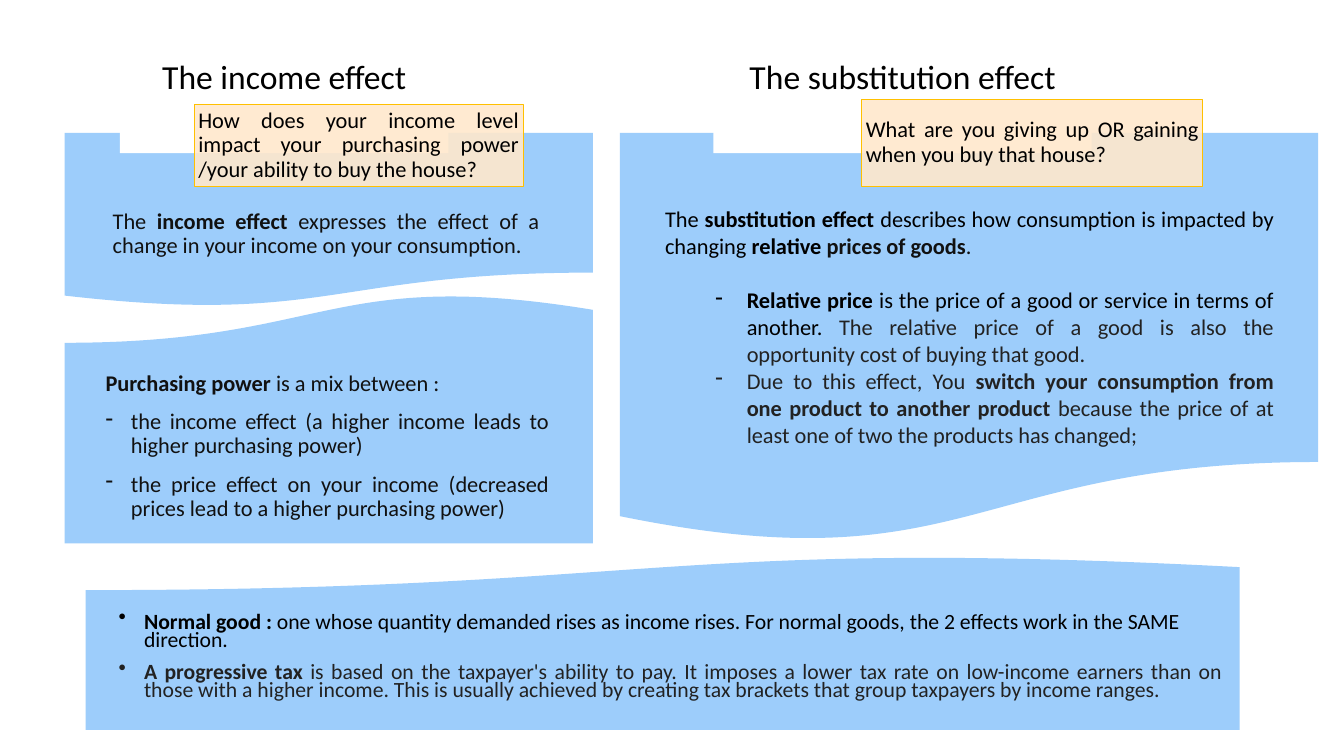
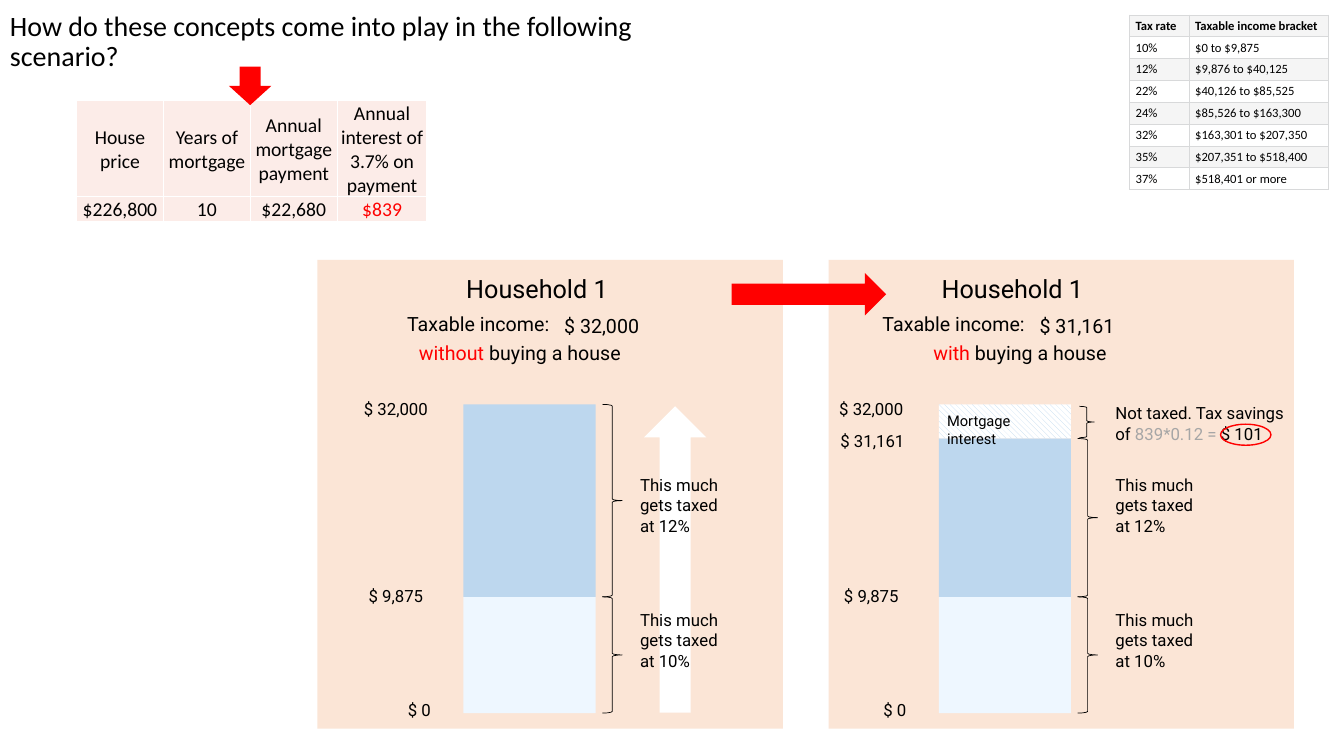
from dataclasses import dataclass
from typing import NamedTuple, Optional, Sequence

from pptx import Presentation
from pptx.dml.color import RGBColor
from pptx.enum.dml import MSO_PATTERN
from pptx.enum.shapes import MSO_SHAPE as Preset
from pptx.enum.text import MSO_ANCHOR as Anchor, PP_ALIGN as Align
from pptx.oxml.ns import qn
from pptx.util import Cm, Pt
from lxml.etree import SubElement


@dataclass(frozen=True)
class Theme:
    body: str = "Calibri"
    chart: str = "Roboto"
    black: str = "000000"
    ink: str = "111111"
    soft_ink: str = "222222"
    muted: str = "A6A6A6"
    white: str = "FFFFFF"
    red: str = "FF0000"
    wave: str = "9DCDFB"
    callout: str = "FFE8CC"
    callout_edge: str = "FFC000"
    panel: str = "FBE5D6"
    low_band: str = "EEF7FF"
    high_band: str = "BDD7EE"
    stripe: str = "F5F5F5"
    grid: str = "D8D9DA"
    mortgage: str = "FCECE8"
    heading_size: float = 24
    question_size: float = 20
    household_size: float = 18
    text_size: float = 16
    goods_size: float = 15.5
    income_size: float = 14
    label_size: float = 12
    note_size: float = 10.5
    bracket_size: float = 9


THEME = Theme()


class Box(NamedTuple):
    """Left, top, width and height in centimetres."""
    left: float
    top: float
    width: float
    height: float

    def lengths(self) -> list[Cm]:
        return [Cm(side) for side in self]


class Insets(NamedTuple):
    left: float = 0.25
    top: float = 0.13
    right: float = 0.25
    bottom: float = 0.13


class Run(NamedTuple):
    text: str
    color: str = THEME.black
    bold: bool = False


@dataclass(frozen=True)
class Para:
    runs: Sequence[Run]
    align: Align = Align.LEFT
    line: float = 1.0
    before: float = 0
    bullet: str = ""
    margin: float = 0
    hang: float = 0


@dataclass(frozen=True)
class Band:
    top: float
    bottom: float
    color: str
    rate: str
    rate_top: float


@dataclass(frozen=True)
class Household:
    panel_left: float
    shift: float
    income: str
    qualifier: str
    qualifier_left: float
    bands: Sequence[Band]


def rgb(color: str) -> RGBColor:
    return RGBColor.from_string(color)


def write(frame, paras: Sequence[Para], size: float, font: str = THEME.body) -> None:
    for index, para in enumerate(paras):
        line = frame.paragraphs[0] if index == 0 else frame.add_paragraph()
        line.alignment, line.line_spacing = para.align, para.line
        line.space_before, line.space_after = Pt(para.before), Pt(0)
        if para.bullet:
            props = line._p.get_or_add_pPr()
            props.set("marL", str(Cm(para.margin)))
            props.set("indent", str(-Cm(para.hang)))
            SubElement(props, qn("a:buChar")).set("char", para.bullet)
        for part in para.runs:
            run = line.add_run()
            run.text = part.text
            run.font.name, run.font.size, run.font.bold = font, Pt(size), part.bold
            run.font.color.rgb = rgb(part.color)


def fit_frame(frame, insets: Insets, anchor: Anchor) -> None:
    frame.word_wrap = True
    frame.vertical_anchor = anchor
    frame.margin_left, frame.margin_top, frame.margin_right, frame.margin_bottom = map(Cm, insets)


def add_text(slide, box: Box, paras: Sequence[Para], size: float,
             font: str = THEME.body, anchor: Anchor = Anchor.TOP) -> None:
    frame = slide.shapes.add_textbox(*box.lengths()).text_frame
    fit_frame(frame, Insets(), anchor)
    write(frame, paras, size, font)


def add_label(slide, box: Box, *runs: Run, size: float = THEME.label_size) -> None:
    add_text(slide, box, [Para(runs)], size, THEME.chart)


def add_figure(slide, preset: Preset, box: Box, fill: Optional[str] = None,
               line: Optional[str] = None, weight: float = 0.5, turn: float = 0):
    figure = slide.shapes.add_shape(preset, *box.lengths())
    figure.shadow.inherit = False
    figure.rotation = turn
    if fill:
        figure.fill.solid()
        figure.fill.fore_color.rgb = rgb(fill)
    else:
        figure.fill.background()
    if line:
        figure.line.color.rgb, figure.line.width = rgb(line), Pt(weight)
    else:
        figure.line.fill.background()
    return figure


def add_brace(slide, box: Box) -> None:
    add_figure(slide, Preset.RIGHT_BRACE, box, line=THEME.black)


def add_heading(slide, box: Box, text: str) -> None:
    frame = add_figure(slide, Preset.RECTANGLE, box, THEME.white).text_frame
    fit_frame(frame, Insets(0.05, 0.05, 0.05, 0.48), Anchor.MIDDLE)
    write(frame, [Para([Run(text)], Align.CENTER, 0.9)], THEME.heading_size)


def add_callout(slide, box: Box, text: str) -> None:
    callout = add_figure(slide, Preset.RECTANGLE, box, THEME.callout, THEME.callout_edge)
    tint = callout._element.spPr.find(qn("a:solidFill"))[0]
    SubElement(tint, qn("a:alpha")).set("val", "90000")
    fit_frame(callout.text_frame, Insets(0.1, 0.03, 0.1, 0.03), Anchor.MIDDLE)
    write(callout.text_frame, [Para([Run(text)], Align.JUSTIFY, 0.9)], THEME.text_size)


def add_grid(slide, left: float, top: float, widths: Sequence[float], heights: Sequence[float]):
    box = Box(left, top, sum(widths), sum(heights))
    table = slide.shapes.add_table(len(heights), len(widths), *box.lengths()).table
    table.first_row = table.horz_banding = False
    for column, width in zip(table.columns, widths):
        column.width = Cm(width)
    for row, height in zip(table.rows, heights):
        row.height = Cm(height)
    return table


def fill_cell(cell, para: Para, size: float, fill: str, edge: str, weight: float,
              insets: Insets, anchor: Anchor) -> None:
    props = cell._tc.get_or_add_tcPr()
    for side in ("lnL", "lnR", "lnT", "lnB"):
        border = SubElement(props, qn(f"a:{side}"))
        border.set("w", str(Pt(weight)))
        SubElement(SubElement(border, qn("a:solidFill")), qn("a:srgbClr")).set("val", edge)
    cell.fill.solid()
    cell.fill.fore_color.rgb = rgb(fill)
    cell.vertical_anchor = anchor
    cell.margin_left, cell.margin_top, cell.margin_right, cell.margin_bottom = map(Cm, insets)
    write(cell.text_frame, [para], size)


def build_effects(slide) -> None:
    for box, turn in ((Box(2.16, 14, 29.08, 4.39), 180), (Box(15.62, 3.35, 17.6, 10.34), 0),
                      (Box(1.63, 3.35, 13.31, 4.39), 0), (Box(1.63, 7.39, 13.31, 6.3), 180)):
        add_figure(slide, Preset.FLOWCHART_DOCUMENT, box, THEME.wave, turn=turn)
    add_heading(slide, Box(17.98, 0.51, 9.53, 3.35), "The substitution effect")
    add_callout(slide, Box(21.72, 2.51, 8.59, 2.18),
                "What are you giving up OR gaining when you buy that house?")
    add_heading(slide, Box(3.02, 0.51, 8.28, 3.35), "The income effect")
    add_callout(slide, Box(4.9, 2.64, 8.28, 2.06), "How does your income level impact your "
                "purchasing power /your ability to buy the house?")

    ink, soft = THEME.ink, THEME.soft_ink
    add_text(slide, Box(2.59, 5.16, 11.25, 2.24), [Para([
        Run("The ", ink), Run("income effect ", ink, True),
        Run("expresses the effect of a change in your income on your consumption.", ink),
    ], Align.JUSTIFY, 0.9)], THEME.text_size)

    dash = dict(align=Align.JUSTIFY, bullet="-", margin=2.06, hang=0.79)
    add_text(slide, Box(16.51, 5.05, 15.85, 6.4), [
        Para([Run("The "), Run("substitution effect ", bold=True),
              Run("describes how consumption is impacted by changing "),
              Run("relative ", bold=True), Run("prices of goods", ink, True), Run(".", ink)],
             Align.JUSTIFY),
        Para([Run("Relative price ", bold=True),
              Run("is the price of a good or service in terms of another. "),
              Run("The relative price of a good is also the opportunity cost of buying "
                  "that good.", soft)], before=19.5, **dash),
        Para([Run("Due to this effect, You ", soft),
              Run("switch your consumption from one product to another product", soft, True),
              Run(" because the price of at least one of two the products has changed;", soft)],
             **dash),
    ], THEME.text_size)

    item = dict(align=Align.JUSTIFY, line=0.9, before=10, bullet="-", margin=0.64, hang=0.64)
    add_text(slide, Box(2.41, 9.25, 11.68, 4.04), [
        Para([Run("Purchasing power ", ink, True), Run("is a mix between :", ink)],
             Align.JUSTIFY, 0.9),
        Para([Run("the income effect (a higher income leads to higher purchasing power)", ink)],
             **item),
        Para([Run("the price effect on your income (decreased prices lead to a higher "
                  "purchasing power)", ink)], **item),
    ], THEME.text_size)

    point = dict(line=0.7, before=10, bullet="•", margin=0.64, hang=0.64)
    add_text(slide, Box(2.74, 15.36, 28.3, 3), [
        Para([Run("Normal good : ", bold=True),
              Run("one whose quantity demanded rises as income rises. For normal goods, "
                  "the 2 effects work in the SAME direction.")], **point),
        Para([Run("A progressive tax ", soft, True),
              Run("is based on the taxpayer's ability to pay. It imposes a lower tax rate on "
                  "low-income earners than on those with a higher income. This is usually "
                  "achieved by creating tax brackets that group taxpayers by income ranges.",
                  soft)], Align.JUSTIFY, **point),
    ], THEME.goods_size)


BAR_TOP, SPLIT, BAR_BOTTOM = 10.19, 15.04, 17.97
SAVED = 11.05
LOW = Band(SPLIT, BAR_BOTTOM, THEME.low_band, "10%", 15.24)
HOUSEHOLDS = (
    Household(8, 0, "$ 32,000", "without ", 10.31,
              (LOW, Band(BAR_TOP, SPLIT, THEME.high_band, "12%", 11.84))),
    Household(20.88, 11.98, "$ 31,161", "with ", 23.27,
              (LOW, Band(SAVED, SPLIT, THEME.high_band, "12%", 11.84))),
)
SCALE = (("$ 32,000", 8.92, 9.91), ("$ 9,875", 9.04, 14.63), ("$ 0", 10.03, 17.51))


def add_household(slide, home: Household) -> None:
    shift = home.shift
    for amount, left, top in SCALE:
        add_label(slide, Box(left + shift, top, 2.4, 0.76), Run(amount))
    for band in home.bands:
        height = band.bottom - band.top
        add_figure(slide, Preset.RECTANGLE, Box(11.68 + shift, band.top, 3.33, height), band.color)
        add_brace(slide, Box(15.18 + shift, band.top, 0.5, height))
        add_label(slide, Box(15.88 + shift, band.rate_top, 2.8, 1.8),
                  Run(f"This much gets taxed at {band.rate}"))
    add_label(slide, Box(11.5 + shift, 6.76, 4.4, 1.02), Run("Household 1"),
              size=THEME.household_size)
    add_label(slide, Box(10.01 + shift, 7.73, 4.37, 0.86), Run("Taxable income:"),
              size=THEME.income_size)
    add_label(slide, Box(13.97 + shift, 7.77, 3.07, 0.86), Run(home.income),
              size=THEME.income_size)
    add_label(slide, Box(home.qualifier_left, 8.45, 6, 0.86), Run(home.qualifier, THEME.red),
              Run("buying a house"), size=THEME.income_size)


def add_tax_brackets(slide) -> None:
    brackets = (("Tax rate", "Taxable income bracket"), ("10%", "$0 to $9,875"),
                ("12%", "$9,876 to $40,125"), ("22%", "$40,126 to $85,525"),
                ("24%", "$85,526 to $163,300"), ("32%", "$163,301 to $207,350"),
                ("35%", "$207,351 to $518,400"), ("37%", "$518,401 or more"))
    table = add_grid(slide, 28.47, 0.38, (1.5, 3.51), [0.55] * len(brackets))
    for row, texts in enumerate(brackets):
        for column, text in enumerate(texts):
            fill_cell(table.cell(row, column), Para([Run(text, bold=row == 0)]),
                      THEME.bracket_size, THEME.white if row % 2 else THEME.stripe, THEME.grid,
                      0.75, Insets(0.15, 0.08, 0.15, 0.08), Anchor.MIDDLE if row else Anchor.TOP)


def add_mortgage(slide) -> None:
    columns = (("House price", "$226,800"), ("Years of mortgage", "10"),
               ("Annual mortgage payment", "$22,680"),
               ("Annual interest of 3.7% on payment", "$839"))
    table = add_grid(slide, 1.93, 2.54, (2.19, 2.19, 2.19, 2.26), (2.42, 0.62))
    for column, texts in enumerate(columns):
        for row, text in enumerate(texts):
            color = THEME.red if text == "$839" else THEME.black
            fill_cell(table.cell(row, column), Para([Run(text, color)], Align.CENTER),
                      THEME.income_size, THEME.mortgage, THEME.white, 1,
                      Insets(0.03, 0.03, 0.03, 0), Anchor.BOTTOM if row else Anchor.MIDDLE)


def build_scenario(slide) -> None:
    for home in HOUSEHOLDS:
        add_figure(slide, Preset.RECTANGLE, Box(home.panel_left, 6.55, 11.73, 11.81), THEME.panel)
    add_figure(slide, Preset.UP_ARROW, Box(16.23, 10.24, 1.57, 7.72), THEME.white)
    for home in HOUSEHOLDS:
        add_household(slide, home)

    interest = add_figure(slide, Preset.RECTANGLE, Box(23.66, BAR_TOP, 3.33, SAVED - BAR_TOP))
    interest.fill.patterned()
    interest.fill.pattern = MSO_PATTERN.WIDE_DOWNWARD_DIAGONAL
    interest.fill.fore_color.rgb = rgb(THEME.high_band)
    interest.fill.back_color.rgb = rgb(THEME.white)
    add_brace(slide, Box(27.2, 10.24, 0.38, 0.79))
    add_text(slide, Box(27.86, 10.03, 5.59, 1.27), [
        Para([Run("Not taxed. Tax savings")]),
        Para([Run("of "), Run("839*0.12 =", THEME.muted), Run(" $ 101")]),
    ], THEME.label_size, THEME.chart)
    add_label(slide, Box(20.93, 10.72, 2.4, 0.76), Run("$ 31,161"))
    add_label(slide, Box(23.62, 10.26, 3.33, 0.74), Run("Mortgage interest"),
              size=THEME.note_size)
    add_figure(slide, Preset.RIGHT_ARROW, Box(18.44, 6.88, 3.89, 1.07), THEME.red)
    add_figure(slide, Preset.OVAL, Box(30.76, 10.69, 1.27, 0.53), line=THEME.red, weight=1)

    add_tax_brackets(slide)
    add_text(slide, Box(0, 0, 18.82, 2.13), [Para([
        Run("How do these concepts come into play in the following scenario?")], line=0.9)],
        THEME.question_size, anchor=Anchor.MIDDLE)
    add_mortgage(slide)
    add_figure(slide, Preset.DOWN_ARROW, Box(5.77, 1.68, 1.07, 0.97), THEME.red)


def main() -> None:
    deck = Presentation()
    deck.slide_width, deck.slide_height = Cm(33.87), Cm(19.05)
    for build in (build_effects, build_scenario):
        build(deck.slides.add_slide(deck.slide_layouts[6]))
    deck.save("out.pptx")


if __name__ == "__main__":
    main()
